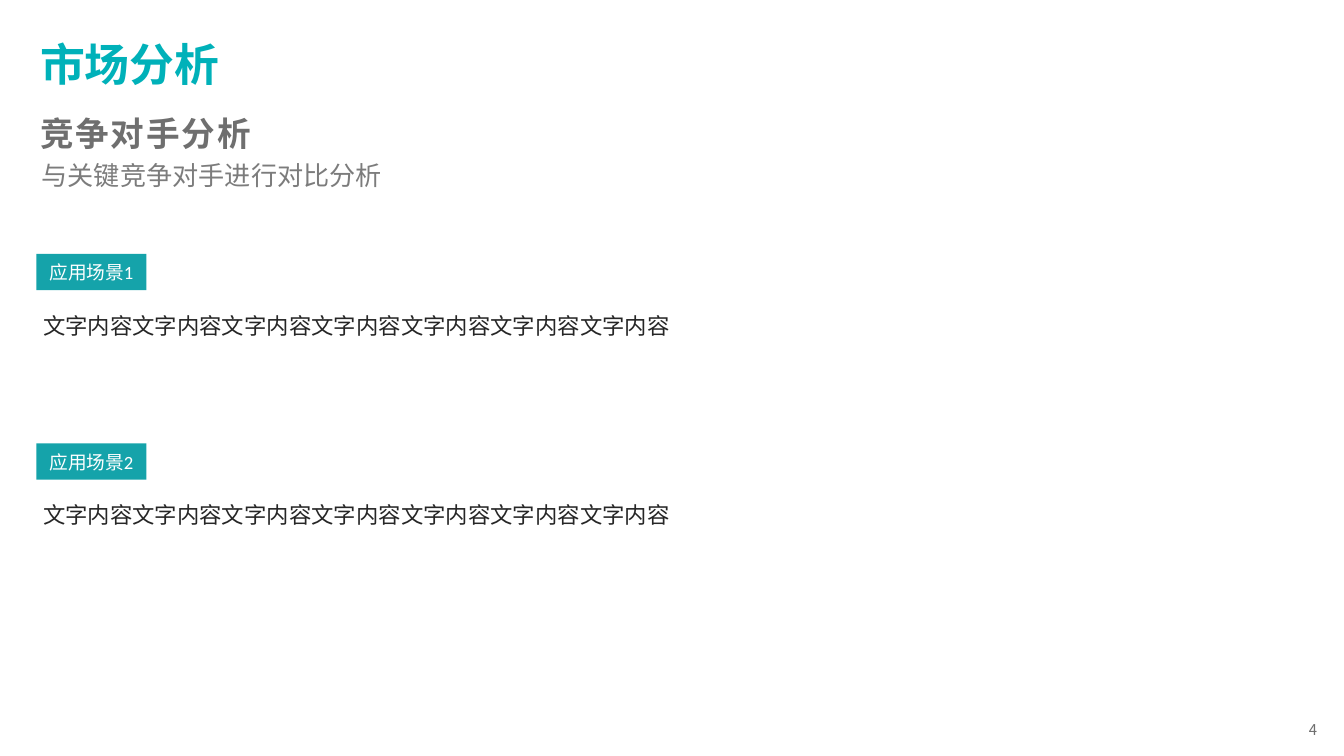
import pptx
import pptx.dml.color
import pptx.enum.shapes
import pptx.enum.text
import pptx.oxml.ns
import pptx.util
from lxml import etree

Inches = pptx.util.Inches
Align = pptx.enum.text.PP_ALIGN
Anchor = pptx.enum.text.MSO_ANCHOR
RGBColor = pptx.dml.color.RGBColor
qn = pptx.oxml.ns.qn

COLORS = {
    "title": "00B1B9",
    "subtitle": "6F6F6F",
    "summary": "7C7C7C",
    "label": "15A3AA",
    "label_text": "FFFFFF",
    "body": "262626",
}
CJK_FONT = "Noto Sans CJK SC"


def write(shape, text, size, color, font=CJK_FONT, bold=False, align=Align.LEFT,
          anchor=Anchor.TOP, inset_x=0.05, inset_y=0.05):
    """Fill a shape with one styled paragraph and return that paragraph."""
    frame = shape.text_frame
    frame.word_wrap = True
    frame.vertical_anchor = anchor
    frame.margin_left = frame.margin_right = Inches(inset_x)
    frame.margin_top = frame.margin_bottom = Inches(inset_y)
    paragraph = frame.paragraphs[0]
    paragraph.text = text
    paragraph.alignment = align
    paragraph.font.size = pptx.util.Pt(size)
    paragraph.font.bold = bold
    paragraph.font.color.rgb = RGBColor.from_string(COLORS[color])
    paragraph.font.name = font
    properties = paragraph._p.pPr.find(qn("a:defRPr"))
    east_asian = etree.Element(qn("a:ea"), typeface=CJK_FONT)
    properties.find(qn("a:latin")).addnext(east_asian)
    return paragraph


presentation = pptx.Presentation()
presentation.slide_width = Inches(10)
presentation.slide_height = Inches(10 * 9 / 16)
slide = presentation.slides.add_slide(presentation.slide_layouts[6])
shapes = slide.shapes

# Headings
title = shapes.add_textbox(Inches(0.2), Inches(0.22), Inches(7.05), Inches(0.55))
write(title, "市场分析", 24, "title", bold=True, inset_x=0.1)

subtitle = shapes.add_textbox(Inches(0.2), Inches(0.77), Inches(7.05), Inches(0.44))
heading = write(subtitle, "竞争对手分析", 18, "subtitle", bold=True,
                anchor=Anchor.MIDDLE, inset_x=0.1)
heading._p.pPr.find(qn("a:defRPr")).set("spc", "100")

summary = shapes.add_textbox(Inches(0.26), Inches(1.14), Inches(8.67), Inches(0.34))
write(summary, "与关键竞争对手进行对比分析", 14, "summary")

# Scenarios: a label with its text below
for number, top in enumerate((1.89, 3.3), start=1):
    label = shapes.add_shape(pptx.enum.shapes.MSO_SHAPE.RECTANGLE,
                             Inches(0.27), Inches(top), Inches(0.82), Inches(0.27))
    label.shadow.inherit = False
    label.fill.solid()
    label.fill.fore_color.rgb = RGBColor.from_string(COLORS["label"])
    label.line.fill.background()
    write(label, f"应用场景{number}", 10, "label_text", font="Calibri",
          align=Align.CENTER, anchor=Anchor.MIDDLE)

    description = shapes.add_textbox(Inches(0.27), Inches(top + 0.38),
                                     Inches(9.28), Inches(0.3))
    write(description, "文字内容" * 7, 12, "body", font="Calibri")

page_number = shapes.add_textbox(Inches(8.87), Inches(5.36), Inches(0.93), Inches(0.14))
write(page_number, "4", 8, "subtitle", align=Align.RIGHT, anchor=Anchor.MIDDLE,
      inset_x=0, inset_y=0)

presentation.save("out.pptx")
